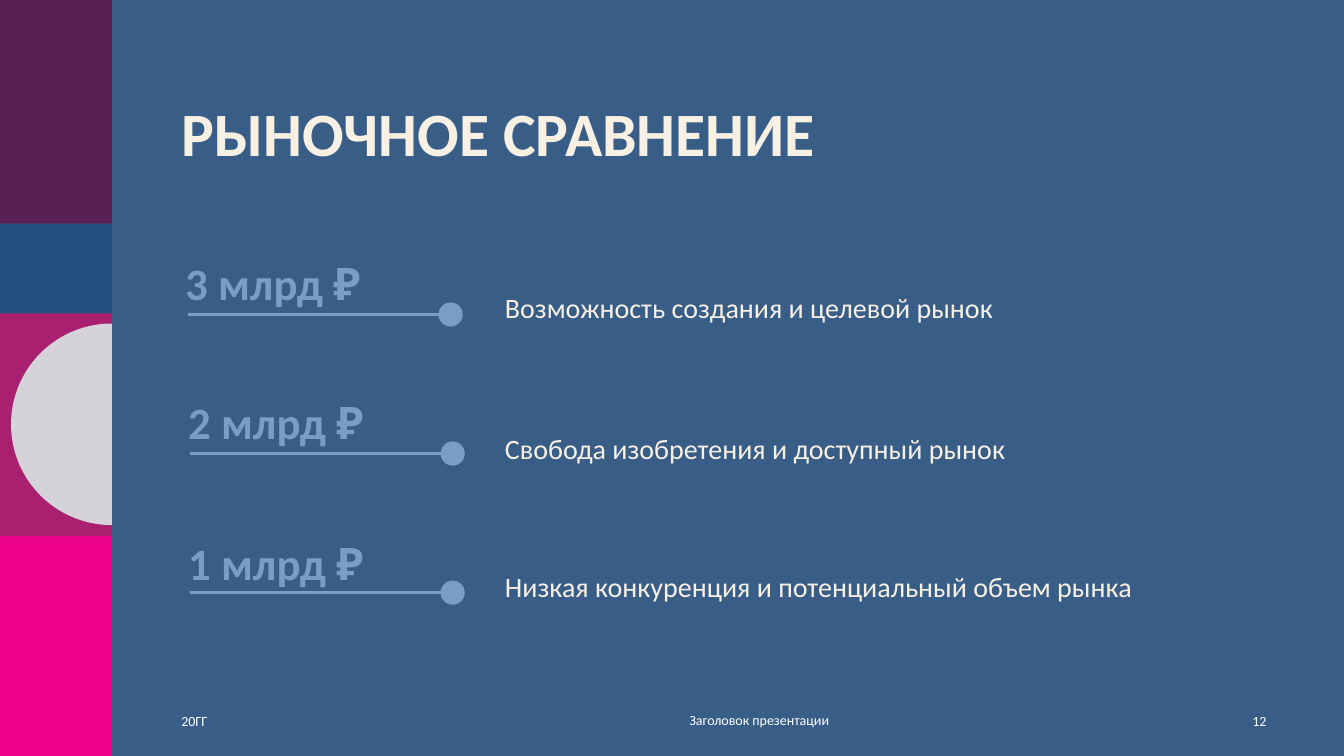
import math

from lxml import etree
from pptx import Presentation
from pptx import util as u
from pptx.dml.color import RGBColor
from pptx.enum import shapes, text
from pptx.oxml.ns import qn

PX = 9144  # EMU per px, 100 px to the inch
COLOURS = {
    "background": "385E88", "plum": "582156", "navy": "224E7F",
    "berry": "AA2070", "pink": "EC008C", "grey": "D5D2DA",
    "cream": "F8F0E3", "sky": "789EC7", "white": "FFFFFF",
}
LEFT, CENTRE, RIGHT = (text.PP_ALIGN.LEFT, text.PP_ALIGN.CENTER,
                       text.PP_ALIGN.RIGHT)
TOP, MIDDLE = text.MSO_ANCHOR.TOP, text.MSO_ANCHOR.MIDDLE

# Text styles: font size, weight, colour, anchor, alignment, line spacing
STYLES = {
    "title": (44, True, "cream", TOP, LEFT, 0.9),
    "amount": (32, True, "sky", MIDDLE, CENTRE, 0.9),
    "detail": (20, False, "cream", TOP, LEFT, 0.9),
    "date": (10, False, "white", MIDDLE, LEFT, 1.0),
    "footer": (10, False, "white", MIDDLE, CENTRE, 1.0),
    "number": (10, False, "white", MIDDLE, RIGHT, 1.0),
}

# Sidebar bands: top, height, colour
BANDS = [(528, 222, "pink"), (310, 222, "berry"),
         (0, 222, "plum"), (222, 89, "navy")]

# Market rows: amount, its left and top, line left, detail, its top
MARKETS = [
    ("3 млрд ₽", 144, 241, 186, "Возможность создания и целевой рынок", 287),
    ("2 млрд ₽", 147, 379, 188, "Свобода изобретения и доступный рынок", 427),
    ("1 млрд ₽", 147, 519, 188,
     "Низкая конкуренция и потенциальный объем рынка", 564),
]
FIRST_LINE, ROW_STEP, LINE_WIDTH, DOT = 312, 138, 253, 24


def px(*lengths):
    return [u.Emu(length * PX) for length in lengths]


def colour(name):
    return RGBColor.from_string(COLOURS[name])


def apply(target, values):
    for name, value in values.items():
        setattr(target, name, value)


def paint(shape, fill):
    shape.shadow.inherit = False
    shape.fill.solid()
    shape.fill.fore_color.rgb = colour(fill)
    shape.line.fill.background()


def add_block(page, kind, place, fill):
    paint(page.shapes.add_shape(kind, *px(*place)), fill)


def add_half_circle(page, centre_x, centre_y, radius, fill, steps=60):
    angles = [math.pi * (0.5 + step / steps) for step in range(steps + 1)]
    points = [(round((centre_x + radius * math.cos(angle)) * PX),
               round((centre_y + radius * math.sin(angle)) * PX))
              for angle in angles]
    outline = page.shapes.build_freeform(*points[0])
    outline.add_line_segments(points[1:], close=True)
    paint(outline.convert_to_shape(), fill)


def add_text(page, words, place, style):
    size, bold, tint, anchor, align, spacing = STYLES[style]
    box = page.shapes.add_textbox(*px(*place))
    apply(box.text_frame, {"word_wrap": True, "vertical_anchor": anchor})
    para = box.text_frame.paragraphs[0]
    apply(para, {"alignment": align, "line_spacing": spacing})
    span = para.add_run()
    span.text = words
    apply(span.font, {"name": "Calibri", "size": u.Pt(size), "bold": bold})
    span.font.color.rgb = colour(tint)


def add_rule(page, left, top, width):
    rule = page.shapes.add_connector(shapes.MSO_CONNECTOR.STRAIGHT,
                                     *px(left, top, left + width, top))
    rule.line.color.rgb = colour("sky")
    rule.line.width = u.Pt(2)
    etree.SubElement(rule._element.spPr, qn("a:effectLst"))


def add_sidebar(page):
    for top, height, fill in BANDS:
        add_block(page, shapes.MSO_SHAPE.RECTANGLE, (0, top, 111, height), fill)
    add_half_circle(page, 111, 421, 100, "grey")


def add_market(page, row, market):
    amount, left, top, line_left, detail, detail_top = market
    line_top = FIRST_LINE + row * ROW_STEP
    add_text(page, amount, (left, top, 253, 86), "amount")
    add_text(page, detail, (491, detail_top, 673, 103), "detail")
    add_rule(page, line_left, line_top, LINE_WIDTH)
    dot_left = line_left + LINE_WIDTH - 4
    add_block(page, shapes.MSO_SHAPE.OVAL,
              (dot_left, line_top - DOT // 2, DOT, DOT), "sky")


def main():
    deck = Presentation()
    deck.slide_width, deck.slide_height = px(1333, 750)
    page = deck.slides.add_slide(deck.slide_layouts[6])
    page.background.fill.solid()
    page.background.fill.fore_color.rgb = colour("background")

    # Sidebar and title
    add_sidebar(page)
    add_text(page, "РЫНОЧНОЕ СРАВНЕНИЕ", (170, 98, 1114, 145), "title")

    # Market comparison
    for row, market in enumerate(MARKETS):
        add_market(page, row, market)

    # Footer
    add_text(page, "20ГГ", (170, 695, 120, 40), "date")
    add_text(page, "Заголовок презентации", (628, 694, 250, 40), "footer")
    add_text(page, "12", (1216, 695, 50, 40), "number")

    deck.save("out.pptx")


if __name__ == "__main__":
    main()
